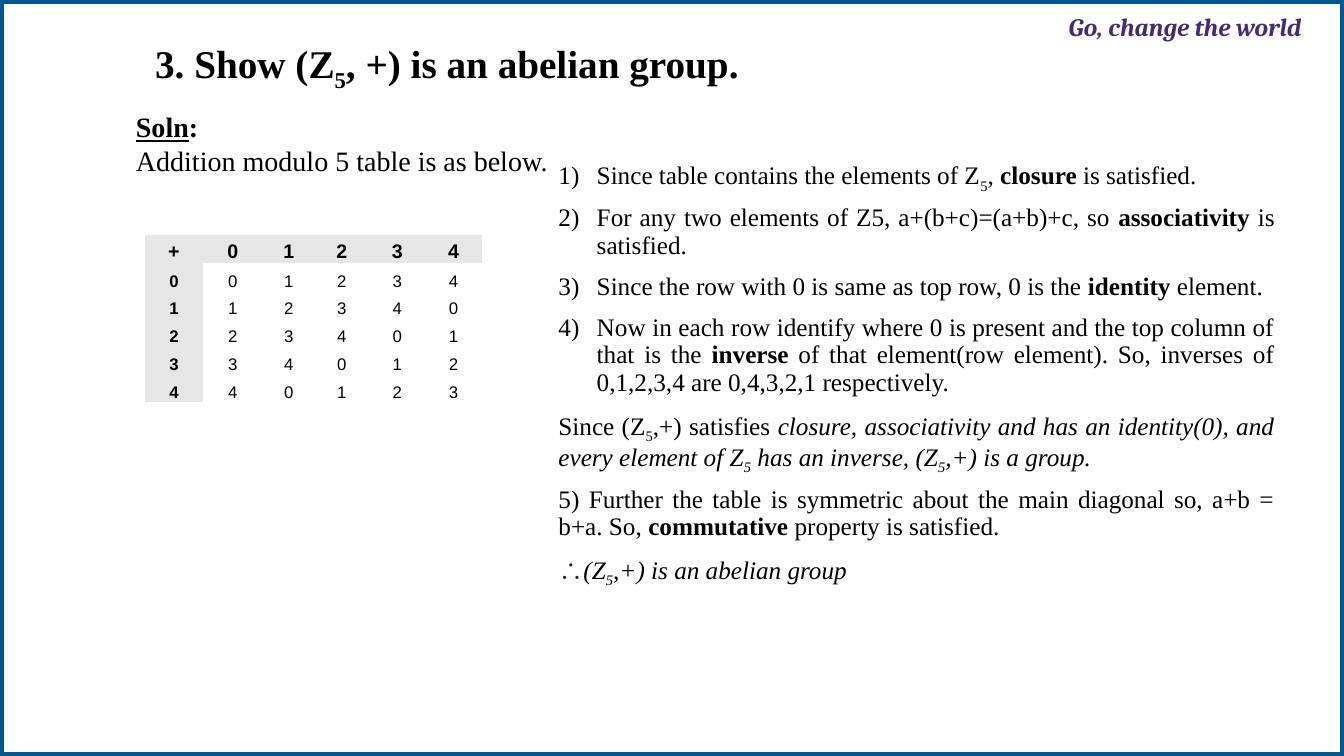
from pptx import Presentation, util as u
from pptx.dml.color import RGBColor
from pptx.enum import shapes, text
from pptx.oxml import ns
from lxml import etree

HUE = {"white": "FFFFFF", "blue": "005893", "plum": "422C75",
       "black": "000000", "gray": "E7E6E6", "ink": "202124"}
SERIF = "Times New Roman"
NO_GRID = "{2D5ABB26-0587-4C30-8999-92F81FD0307C}"
WIDE, HIGH = 13.33, 7.5

# Each run is (words, marks): b bold, i italic, u underline, s subscript, k ink
STEPS = [
    [("Since table contains the elements of Z", ""), ("5", "s"), (", ", ""),
     ("closure", "b"), (" is satisfied.", "")],
    [("For any two elements of Z5, a+(b+c)=(a+b)+c, so ", ""),
     ("associativity", "b"), (" is satisfied.", "")],
    [("Since the row with 0 is same as top row, 0 is the ", ""),
     ("identity", "b"), (" element.", "")],
    [("Now in each row identify where 0 is present and the top column of "
      "that is the ", ""), ("inverse", "b"),
     (" of that element(row element). So, inverses of 0,1,2,3,4 are "
      "0,4,3,2,1 respectively.", "")],
]
CLOSE = [
    [("Since (Z", ""), ("5", "s"), (",+) satisfies ", ""),
     ("closure, associativity and has an identity(0), and every element of Z",
      "i"), ("5", "is"), (" has an inverse, (Z", "i"), ("5", "is"),
     (",+) is a group. ", "i")],
    [("5) Further the table is symmetric about the main diagonal so, "
      "a+b = b+a. So, ", ""), ("commutative", "b"),
     (" property is satisfied.", "")],
    [("∴", "k"), ("(Z", "i"), ("5", "is"), (",+) is an abelian group", "i")],
]


def rgb(name):
    return RGBColor.from_string(HUE[name])


def put(obj, form):
    for key, val in form.items():
        setattr(obj, key, val)


def write(para, runs, size, face=SERIF, hue="black"):
    for words, marks in runs:
        run = para.add_run()
        run.text = words
        put(run.font, {"name": face, "size": u.Pt(size), "bold": "b" in marks,
                       "italic": "i" in marks, "underline": "u" in marks})
        run.font.color.rgb = rgb("ink" if "k" in marks else hue)
        if "s" in marks:
            run.font._element.set("baseline", "-25000")


def frame(slide, box, pads=(0.1, 0.05, 0.1, 0.05)):
    tf = slide.shapes.add_textbox(*map(u.Inches, box)).text_frame
    sides = ("margin_left", "margin_top", "margin_right", "margin_bottom")
    put(tf, dict(zip(sides, map(u.Inches, pads))))
    put(tf, {"word_wrap": True, "vertical_anchor": text.MSO_ANCHOR.TOP})
    return tf


def lines(tf, paras):
    """Yield a paragraph of the frame for each list of runs."""
    for n, runs in enumerate(paras):
        yield (tf.add_paragraph() if n else tf.paragraphs[0]), runs


def border(slide, box):
    rect = slide.shapes.add_shape(shapes.MSO_SHAPE.RECTANGLE,
                                  *map(u.Inches, box))
    rect.shadow.inherit = False
    rect.fill.solid()
    rect.fill.fore_color.rgb = rgb("white")
    rect.line.color.rgb = rgb("blue")
    rect.line.width = u.Pt(6)


def motto(slide, box):
    tf = frame(slide, box, (0.01, 0.01, 0, 0))
    write(tf.paragraphs[0], [("Go, change the world", "bi")], 18,
          "Cambria", "plum")


def title(slide, box):
    para = frame(slide, box, (0.1, 0, 0.1, 0)).paragraphs[0]
    para.line_spacing = 0.9
    write(para, [("3. Show (Z", "b"), ("5", "bs"),
                 (", +) is an abelian group.", "b")], 28)


def intro(slide, box):
    paras = [[("Soln", "bu"), (":", "b")],
             [("Addition modulo 5 table is as below.", "")]]
    for para, runs in lines(frame(slide, box), paras):
        write(para, runs, 20)


def sums(slide, box, mod=5):
    """Addition table modulo mod, with gray head row and head column."""
    grid = slide.shapes.add_table(mod + 1, mod + 1,
                                  *map(u.Inches, box)).table
    put(grid, {"first_row": False, "horz_banding": False})
    grid._tbl.tblPr.find(ns.qn("a:tableStyleId")).text = NO_GRID
    for col, wide in zip(grid.columns, (0.57, 0.6, 0.51, 0.54, 0.56, 0.56)):
        col.width = u.Inches(wide)
    pad = u.Inches(0.01)
    for r in range(mod + 1):
        grid.rows[r].height = u.Inches(box[3] / (mod + 1))
        for c in range(mod + 1):
            cell = grid.cell(r, c)
            put(cell, {"margin_left": pad, "margin_top": pad,
                       "margin_right": pad, "margin_bottom": 0,
                       "vertical_anchor": text.MSO_ANCHOR.BOTTOM})
            head = r == 0 or c == 0
            if head:
                cell.fill.solid()
                cell.fill.fore_color.rgb = rgb("gray")
            else:
                cell.fill.background()
            # Heads are 0 to mod - 1; the corner holds the sign
            if r and c:
                word = str((r + c - 2) % mod)
            else:
                word = str(r + c - 1) if r + c else "+"
            para = cell.text_frame.paragraphs[0]
            para.alignment = text.PP_ALIGN.CENTER
            write(para, [(word, "b" if head else "")], 12 if r else 14,
                  "Arial")


def indent(para, left, first=0):
    props = para._p.get_or_add_pPr()
    props.set("marL", str(u.Inches(left)))
    props.set("indent", str(u.Inches(first)))
    return props


def number(props):
    tint = etree.SubElement(props, ns.qn("a:buClr"))
    etree.SubElement(tint, ns.qn("a:srgbClr"), val=HUE["black"])
    etree.SubElement(props, ns.qn("a:buAutoNum"), type="arabicParenR")


def proof(slide, box):
    tf = frame(slide, box)
    for n, (para, runs) in enumerate(lines(tf, STEPS + CLOSE)):
        put(para, {"alignment": text.PP_ALIGN.JUSTIFY, "line_spacing": 0.9,
                   "space_before": u.Pt(10)})
        if n < len(STEPS):
            number(indent(para, 0.5, -0.38))
        else:
            indent(para, 0.12)
        write(para, runs, 18)


def main():
    deck = Presentation()
    put(deck, {"slide_width": u.Inches(WIDE), "slide_height": u.Inches(HIGH)})
    slide = deck.slides.add_slide(deck.slide_layouts[6])
    border(slide, (0, 0, WIDE, HIGH))
    motto(slide, (10.59, 0.1, 2.73, 0.32))
    title(slide, (1.44, 0.4, 10.98, 0.78))
    sums(slide, (1.44, 2.33, 3.34, 1.66))
    intro(slide, (1.25, 1.04, 10.66, 0.75))
    proof(slide, (5.32, 1.54, 7.42, 5.4))
    deck.save("out.pptx")


if __name__ == "__main__":
    main()
